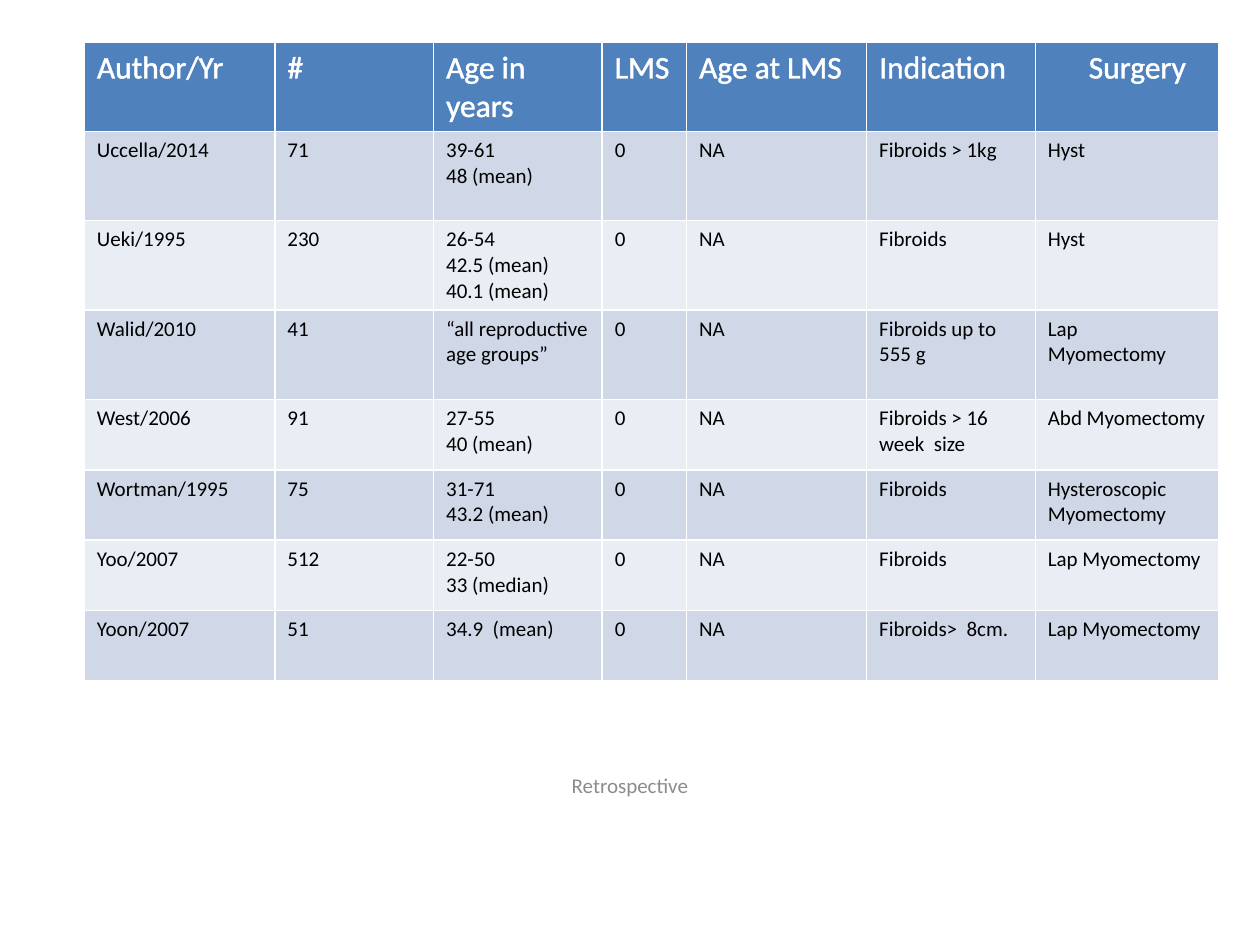
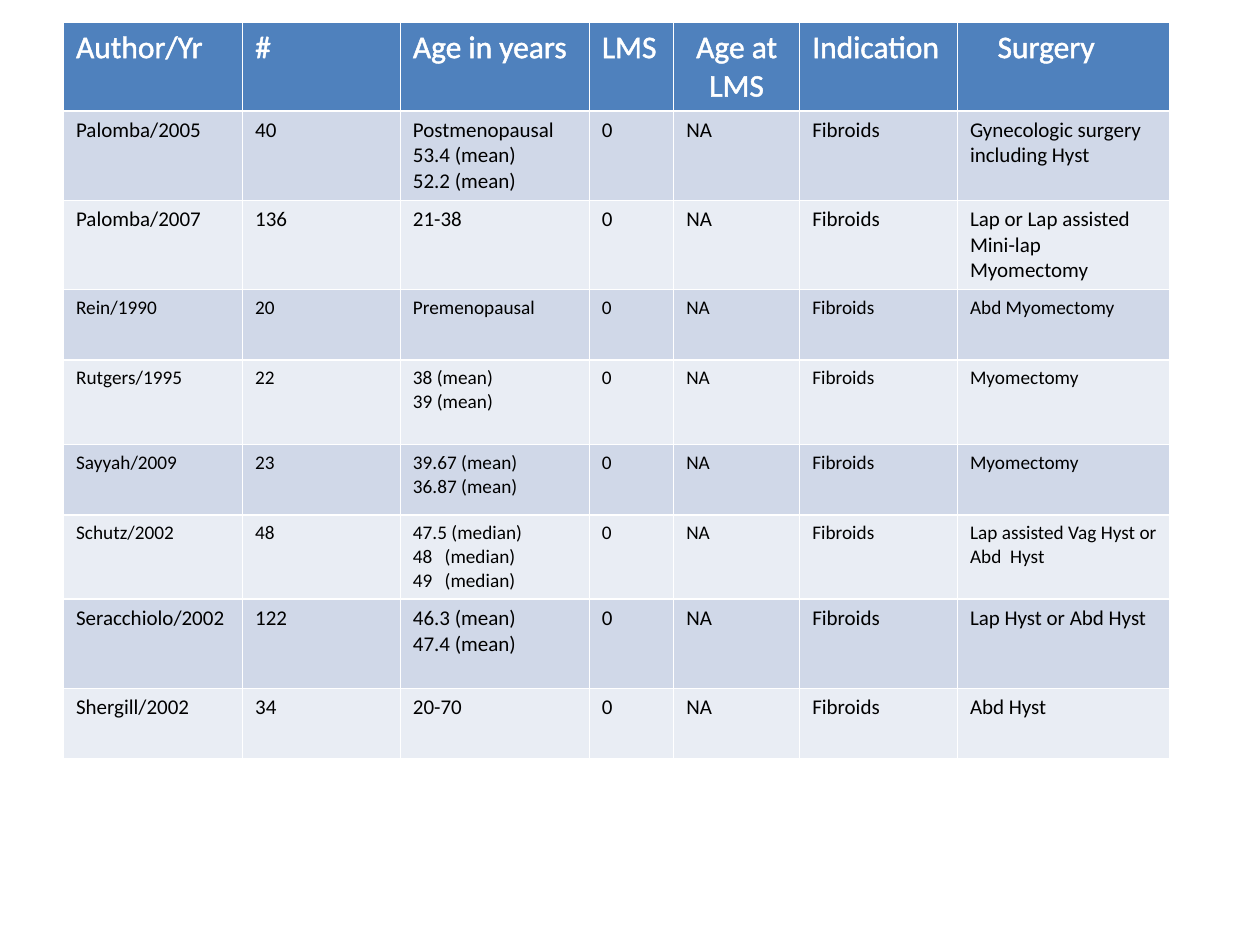
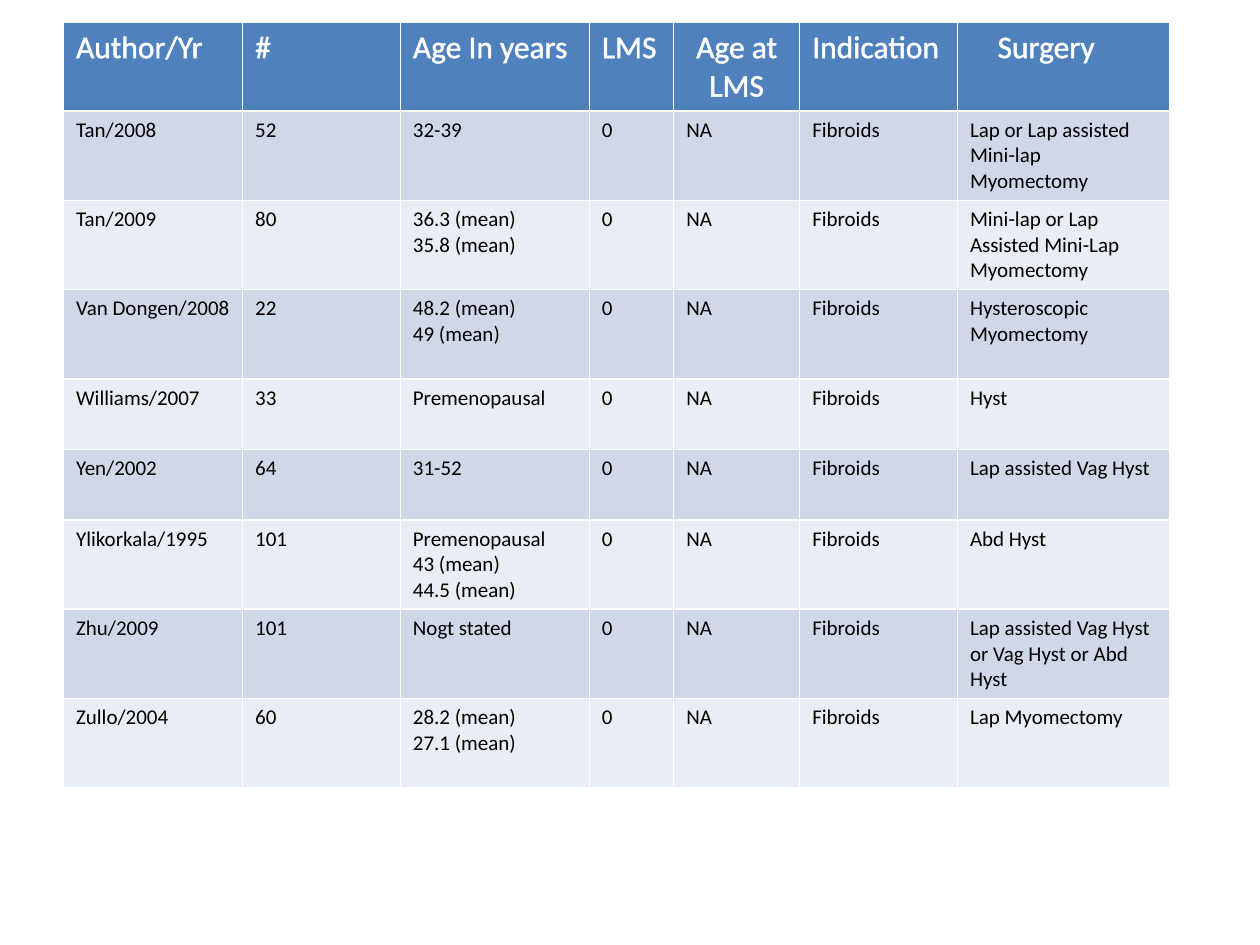
from dataclasses import dataclass

from pptx import Presentation
from pptx.dml.color import RGBColor
from pptx.enum.text import PP_ALIGN
from pptx.oxml import parse_xml
from pptx.oxml.ns import nsdecls
from pptx.oxml.xmlchemy import OxmlElement
from pptx.util import Cm, Pt

WHITE = RGBColor(0xFF, 0xFF, 0xFF)
BLACK = RGBColor(0x00, 0x00, 0x00)
GREY = RGBColor(0x8C, 0x8C, 0x8C)
HEADER_BLUE = RGBColor(0x4F, 0x81, 0xBD)
BANDS = (RGBColor(0xD0, 0xD8, 0xE8), RGBColor(0xE9, 0xED, 0xF4))

FONT = "Calibri"
HEADER_SIZE = 18
BODY_SIZE = 12
SMALL_SIZE = 11

TALL = 1.8
MEDIUM = 1.7
SHORT = 1.42
CELL_MARGIN = 0.25
NUMBERED_FROM = {"(median)": 48}
NUMBER_INDENT = 0.64
OUTLINE = (f'<a:ln {nsdecls("a")} w="18415"><a:solidFill>'
           f'<a:srgbClr val="{WHITE}"/></a:solidFill></a:ln>')


@dataclass(frozen=True)
class Study:
    author: str
    number: str
    age: str
    surgery: str
    indication: str = "Fibroids"
    height: float = TALL
    size: int = BODY_SIZE

    def cells(self) -> tuple[str, ...]:
        return (self.author, self.number, self.age, "0", "NA",
                self.indication, self.surgery)


@dataclass(frozen=True)
class StudyTable:
    left: float
    top: float
    widths: tuple[float, ...]
    centred_column: int
    surgery_indent: float
    studies: tuple[Study, ...]
    age_header: str = "Age in years"
    footer: str = ""

    def headers(self) -> tuple[str, ...]:
        return ("Author/Yr", "#", self.age_header, "LMS", "Age at LMS",
                "Indication", "Surgery")


WIDE_LAYOUT = dict(left=1.28, top=0.44, centred_column=4, surgery_indent=0.56,
                   widths=(3.61, 3.18, 3.81, 1.7, 2.54, 3.18, 4.29))

TABLES = (
    StudyTable(
        left=1.7, top=0.85, centred_column=6, surgery_indent=0.42,
        widths=(3.84, 3.2, 3.4, 1.7, 3.63, 3.4, 3.7),
        footer="Retrospective",
        studies=(
            Study("Uccella/2014", "71", "39-61\n48 (mean)", "Hyst",
                  "Fibroids > 1kg"),
            Study("Ueki/1995", "230", "26-54\n42.5 (mean)\n40.1 (mean)", "Hyst"),
            Study("Walid/2010", "41", "“all reproductive age groups”",
                  "Lap\nMyomectomy", "Fibroids up to 555 g"),
            Study("West/2006", "91", "27-55\n40 (mean)", "Abd Myomectomy",
                  "Fibroids > 16 week  size", SHORT),
            Study("Wortman/1995", "75", "31-71\n43.2 (mean)",
                  "Hysteroscopic Myomectomy", height=SHORT),
            Study("Yoo/2007", "512", "22-50\n33 (median)", "Lap Myomectomy",
                  height=SHORT),
            Study("Yoon/2007", "51", "34.9  (mean)", "Lap Myomectomy",
                  "Fibroids>  8cm.", SHORT),
        ),
    ),
    StudyTable(
        **WIDE_LAYOUT,
        studies=(
            Study("Palomba/2005", "40", "Postmenopausal\n53.4 (mean)\n52.2 (mean)",
                  "Gynecologic surgery including Hyst"),
            Study("Palomba/2007", "136", "21-38",
                  "Lap or Lap assisted Mini-lap Myomectomy"),
            Study("Rein/1990", "20", "Premenopausal", "Abd Myomectomy",
                  height=SHORT, size=SMALL_SIZE),
            Study("Rutgers/1995", "22", "38 (mean)\n39 (mean)", "Myomectomy",
                  height=MEDIUM, size=SMALL_SIZE),
            Study("Sayyah/2009", "23", "39.67 (mean)\n36.87 (mean)", "Myomectomy",
                  height=SHORT, size=SMALL_SIZE),
            Study("Schutz/2002", "48", "47.5 (median)\n(median)\n(median)",
                  "Lap assisted Vag Hyst or Abd  Hyst",
                  height=MEDIUM, size=SMALL_SIZE),
            Study("Seracchiolo/2002", "122", "46.3 (mean)\n47.4 (mean)",
                  "Lap Hyst or Abd Hyst"),
            Study("Shergill/2002", "34", "20-70", "Abd Hyst", height=SHORT),
        ),
    ),
    StudyTable(
        **WIDE_LAYOUT,
        age_header="Age In years",
        studies=(
            Study("Tan/2008", "52", "32-39",
                  "Lap or Lap assisted Mini-lap Myomectomy"),
            Study("Tan/2009", "80", "36.3 (mean)\n35.8 (mean)",
                  "Mini-lap or Lap Assisted Mini-Lap Myomectomy"),
            Study("Van Dongen/2008", "22", "48.2 (mean)\n49 (mean)",
                  "Hysteroscopic Myomectomy"),
            Study("Williams/2007", "33", "Premenopausal", "Hyst", height=SHORT),
            Study("Yen/2002", "64", "31-52", "Lap assisted Vag Hyst", height=SHORT),
            Study("Ylikorkala/1995", "101", "Premenopausal\n43 (mean)\n44.5 (mean)",
                  "Abd Hyst"),
            Study("Zhu/2009", "101", "Nogt stated",
                  "Lap assisted Vag Hyst or Vag Hyst or Abd Hyst"),
            Study("Zullo/2004", "60", "28.2 (mean)\n27.1 (mean)", "Lap Myomectomy"),
        ),
    ),
)


def add_run(p, text: str, size: int, color: RGBColor):
    r = p.add_run()
    r.text = text
    r.font.name = FONT
    r.font.size = Pt(size)
    r.font.bold = False
    r.font.color.rgb = color
    return r


def number_paragraph(p, start: int) -> None:
    pPr = p._p.get_or_add_pPr()
    pPr.set("marL", str(Cm(NUMBER_INDENT)))
    pPr.set("indent", str(-Cm(NUMBER_INDENT)))
    number = OxmlElement("a:buAutoNum")
    number.set("type", "arabicPlain")
    number.set("startAt", str(start))
    pPr.append(number)


def fill_cell(cell, text: str, size: int, color: RGBColor, fill: RGBColor) -> None:
    cell.fill.solid()
    cell.fill.fore_color.rgb = fill
    tf = cell.text_frame
    for i, line in enumerate(text.split("\n")):
        p = tf.add_paragraph() if i else tf.paragraphs[0]
        if line in NUMBERED_FROM:
            number_paragraph(p, NUMBERED_FROM[line])
        add_run(p, line, size, color)


def draw_header(table, data: StudyTable) -> None:
    table.rows[0].height = Cm(TALL)
    for col, text in enumerate(data.headers()):
        cell = table.cell(0, col)
        fill_cell(cell, text, HEADER_SIZE, WHITE, HEADER_BLUE)
        p = cell.text_frame.paragraphs[0]
        p.runs[0]._r.get_or_add_rPr().insert(0, parse_xml(OUTLINE))
        if col == data.centred_column:
            p.alignment = PP_ALIGN.CENTER
    cell.margin_left = Cm(CELL_MARGIN + data.surgery_indent)


def draw_table(s, data: StudyTable) -> None:
    height = TALL + sum(study.height for study in data.studies)
    table = s.shapes.add_table(
        len(data.studies) + 1, len(data.widths), Cm(data.left), Cm(data.top),
        Cm(sum(data.widths)), Cm(height)).table
    for column, width in zip(table.columns, data.widths):
        column.width = Cm(width)
    draw_header(table, data)
    for row, study in enumerate(data.studies, start=1):
        table.rows[row].height = Cm(study.height)
        for col, text in enumerate(study.cells()):
            fill_cell(table.cell(row, col), text, study.size, BLACK,
                      BANDS[(row - 1) % 2])


def draw_footer(s, text: str) -> None:
    tf = s.shapes.add_textbox(Cm(3.81), Cm(15.45), Cm(17.78), Cm(1.7)).text_frame
    tf.word_wrap = True
    p = tf.paragraphs[0]
    p.alignment = PP_ALIGN.CENTER
    add_run(p, text, BODY_SIZE, GREY)


def main() -> None:
    prs = Presentation()
    prs.slide_width, prs.slide_height = Cm(25.4), Cm(19.05)
    for data in TABLES:
        s = prs.slides.add_slide(prs.slide_layouts[6])
        if data.footer:
            draw_footer(s, data.footer)
        draw_table(s, data)
    prs.save("out.pptx")


if __name__ == "__main__":
    main()
